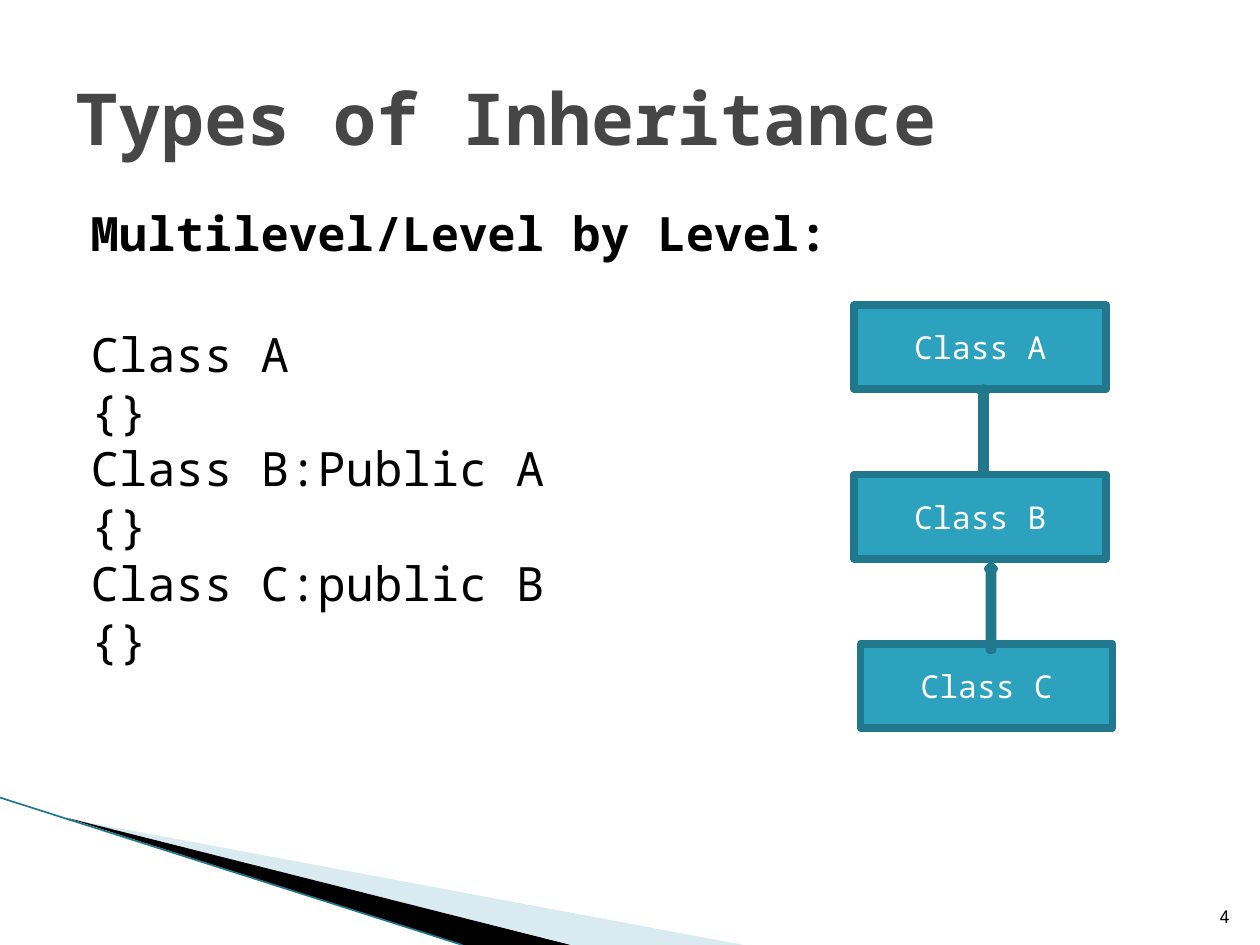
from lxml import etree
from pptx import Presentation
from pptx.dml.color import RGBColor
from pptx.enum.shapes import MSO_CONNECTOR, MSO_SHAPE
from pptx.enum.text import MSO_ANCHOR, PP_ALIGN
from pptx.oxml.ns import qn
from pptx.util import Inches, Pt

RECTANGLE, UP_ARROW = MSO_SHAPE.RECTANGLE, MSO_SHAPE.UP_ARROW
TOP, MIDDLE, BOTTOM = MSO_ANCHOR.TOP, MSO_ANCHOR.MIDDLE, MSO_ANCHOR.BOTTOM
LEFT, CENTER, RIGHT = PP_ALIGN.LEFT, PP_ALIGN.CENTER, PP_ALIGN.RIGHT
FONT = "Noto Sans Mono"
COLORS = {name: RGBColor.from_string(value) for name, value in {
    "title": "464646", "text": "000000", "label": "FFFFFF",
    "box": "2DA2BF", "edge": "21788D",
    "pale": "D9EAF1", "dark": "000000",
}.items()}

deck = Presentation()
deck.slide_width, deck.slide_height = Inches(10), Inches(7.5)
slide = deck.slides.add_slide(deck.slide_layouts[6])
shapes = slide.shapes


def write(shape, lines, size, color, align=LEFT, anchor=MIDDLE, bold=False):
    frame = shape.text_frame
    frame.word_wrap = True
    frame.vertical_anchor = anchor
    frame.text = "\n".join(lines)
    for paragraph in frame.paragraphs:
        paragraph.alignment = align
        font = paragraph.font
        font.name, font.size, font.bold = FONT, Pt(size), bold
        font.color.rgb = COLORS[color]
    return frame


def add_block(kind, left, top, width, height):
    block = shapes.add_shape(kind, *map(Inches, (left, top, width, height)))
    block.shadow.inherit = False
    block.fill.solid()
    block.fill.fore_color.rgb = COLORS["box"]
    block.line.color.rgb = COLORS["edge"]
    block.line.width = Pt(4.33)
    etree.SubElement(block.line._get_or_add_ln(), qn("a:round"))
    return block


# Corner wedges and their edge line
wedges = [("pale", [(0.55, 6.5), (5.9, 7.5), (4.55, 7.5)]),
          ("dark", [(0.53, 6.49), (4.53, 7.5), (3.67, 7.5)])]
for color, (start, *others) in wedges:
    outline = shapes.build_freeform(*map(Inches, start), scale=1.0)
    outline.add_line_segments([tuple(map(Inches, point)) for point in others])
    wedge = outline.convert_to_shape()
    wedge.shadow.inherit = False
    wedge.fill.solid()
    wedge.fill.fore_color.rgb = COLORS[color]
    wedge.line.fill.background()

edge = shapes.add_connector(MSO_CONNECTOR.STRAIGHT, 0, Inches(6.33),
                            Inches(3.67), Inches(7.5))
edge.line.color.rgb = COLORS["edge"]
edge.line.width = Pt(0.95)
etree.SubElement(edge._element.spPr, qn("a:effectLst"))

# Title and page number
title = shapes.add_textbox(Inches(0.5), Inches(0.3), Inches(9), Inches(1.25))
write(title, ["Types of Inheritance"], 41, "title", bold=True)
page = shapes.add_textbox(Inches(9.46), Inches(7.01), Inches(0.4), Inches(0.4))
write(page, ["4"], 10, "text", RIGHT, BOTTOM)

# Heading and class declarations
code = shapes.add_textbox(Inches(0.5), Inches(1.62), Inches(9), Inches(4.95))
code_frame = write(code, ["Multilevel/Level by Level:",
                          "Class A", "{}",
                          "Class B:Public A", "{}",
                          "Class C:public B", "{}"], 27, "text", anchor=TOP)
code_frame.margin_left = Inches(0.22)
for paragraph in code_frame.paragraphs:
    paragraph.line_spacing = 0.9
    paragraph.space_before = Pt(3.5)
heading, first_class = code_frame.paragraphs[:2]
heading.font.bold = True
first_class.space_before = Pt(40)

# Inheritance chain: each arrow points up to the parent class
box_width, box_height, box_pitch = 2, 0.67, 1.345
for row, (name, left) in enumerate([("A", 6.78), ("B", 6.78), ("C", 6.83)]):
    box = add_block(RECTANGLE, left, 2.42 + row * box_pitch,
                    box_width, box_height)
    write(box, [f"Class {name}"], 18, "label", CENTER)
    if row:
        arrow_left, arrow_top = [(7.78, 3.08), (7.84, 4.49)][row - 1]
        add_block(UP_ARROW, arrow_left, arrow_top, 0.05, box_height)

deck.save("out.pptx")
